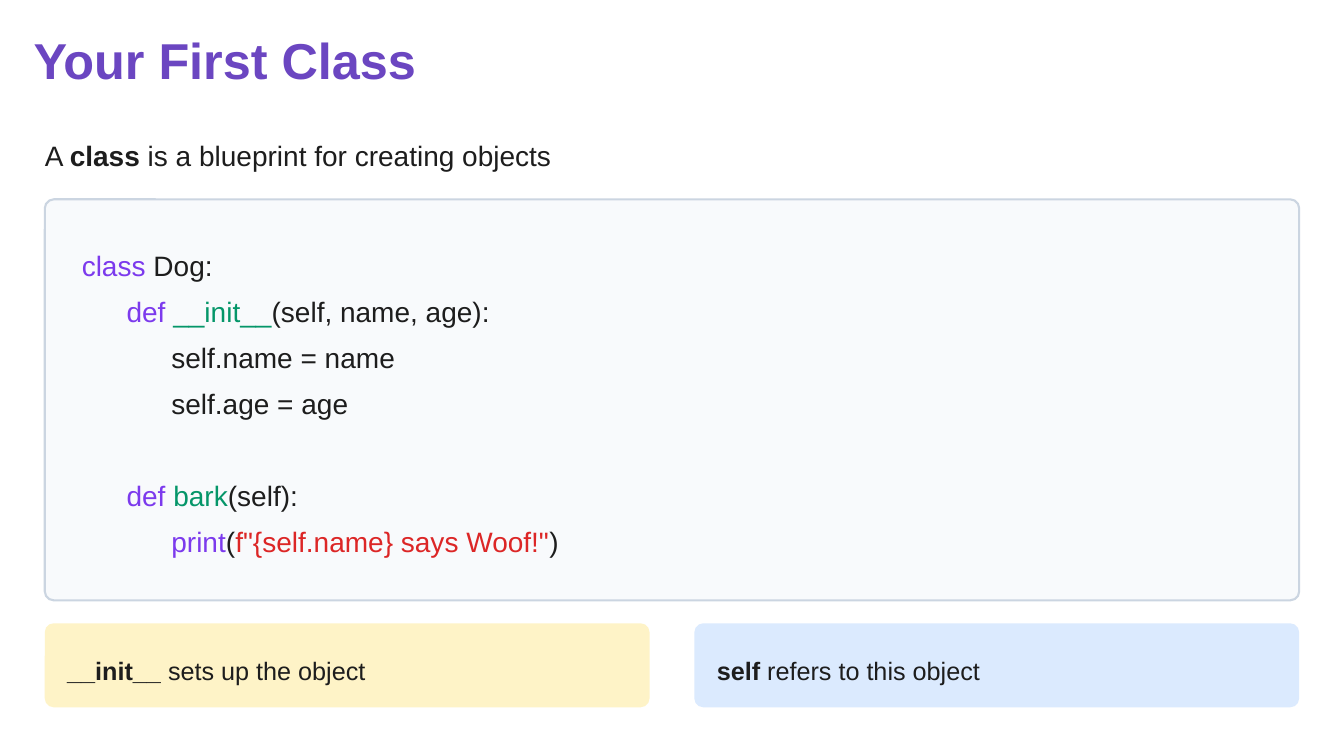
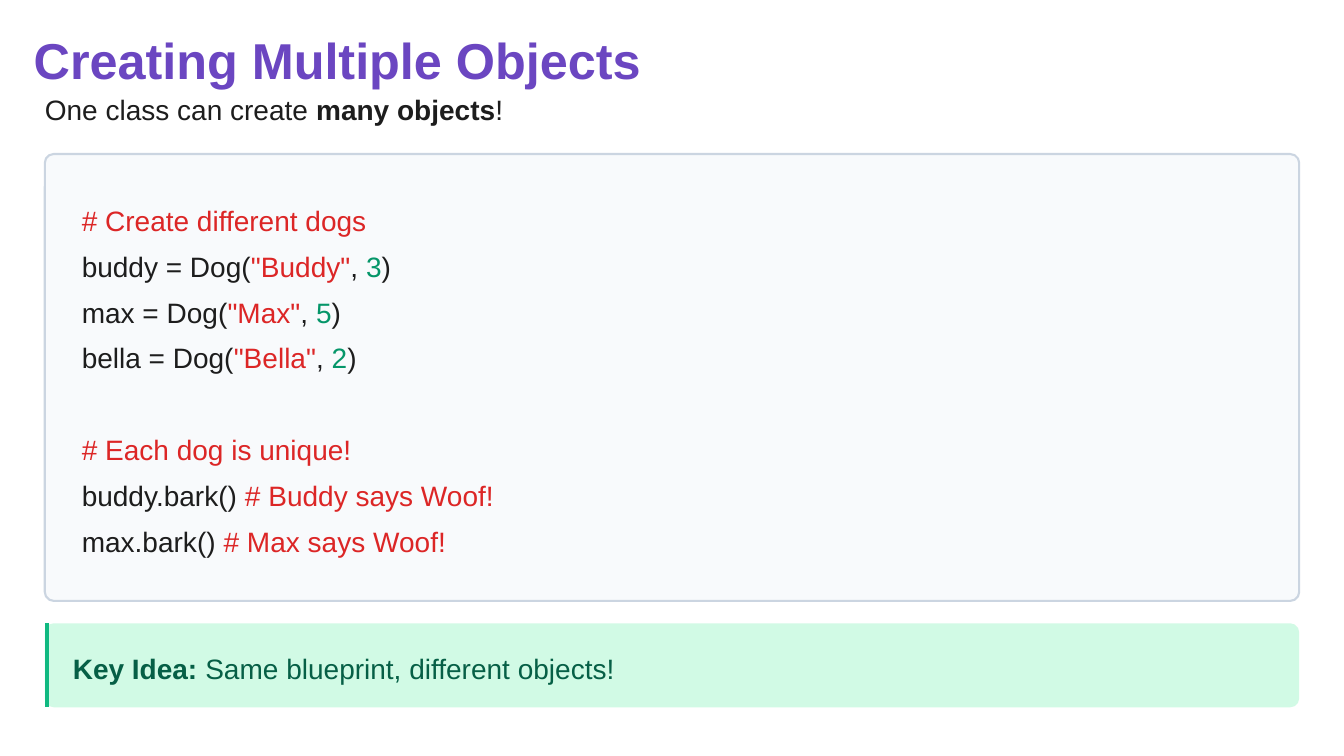
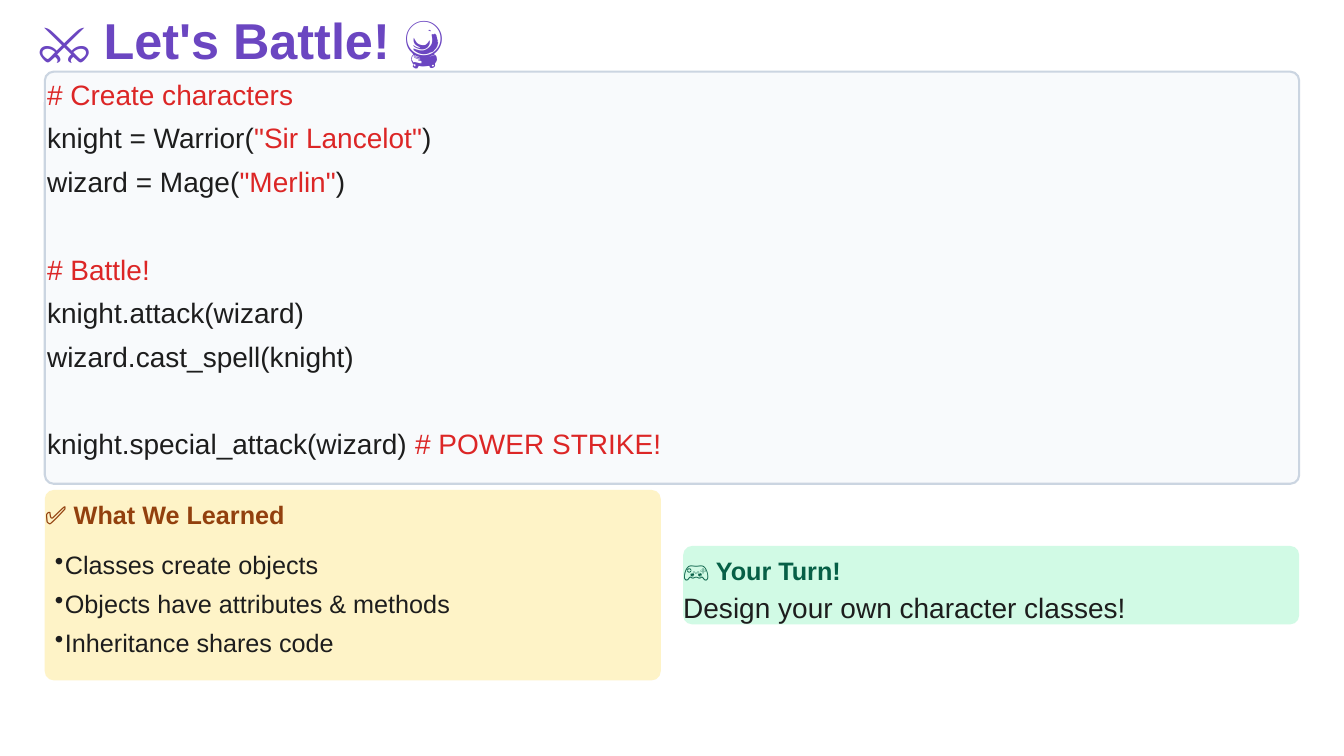
from dataclasses import dataclass

from lxml.etree import SubElement
from pptx import Presentation
from pptx.dml.color import RGBColor
from pptx.enum.shapes import MSO_CONNECTOR as Connector, MSO_SHAPE as Preset
from pptx.enum.text import MSO_ANCHOR as Anchor, MSO_AUTO_SIZE as AutoSize, PP_ALIGN as Align
from pptx.oxml.ns import qn
from pptx.util import Pt


@dataclass(frozen=True)
class Theme:
    font: str = "Arial"
    title: str = "6B46C1"
    ink: str = "1D1D1D"
    keyword: str = "7C3AED"
    name: str = "059669"
    string: str = "DC2626"
    code_fill: str = "F8FAFC"
    code_line: str = "CBD5E1"
    yellow: str = "FEF3C7"
    brown: str = "92400E"
    blue: str = "DBEAFE"
    mint: str = "D1FAE5"
    emerald: str = "10B981"
    forest: str = "065F46"
    title_size: int = 36
    body_size: int = 20
    note_size: int = 18
    title_leading: int = 40
    leading: int = 28


@dataclass
class Line:
    """One paragraph: spans are (text, colour) or (text, colour, bold)."""
    spans: list
    size: int
    before: float = 0
    indent: float = 0
    bullet: bool = False
    leading: int = Theme.leading


T = Theme()
UNIT = Pt(8)  # the slide is a grid of 120 columns by 67.5 rows
COLUMNS, ROWS = 120, 67.5
LEFT, FULL = 4, 112
ROW = 3.5
RADIUS = 0.8
TAB = 4


def panel(page, left, top, width, height, fill, outline=None):
    shape = page.shapes.add_shape(
        Preset.ROUNDED_RECTANGLE, *(round(n * UNIT) for n in (left, top, width, height)))
    shape.adjustments[0] = RADIUS / min(width, height)
    shape.shadow.inherit = False
    shape.fill.solid()
    shape.fill.fore_color.rgb = RGBColor.from_string(fill)
    if outline:
        shape.line.color.rgb = RGBColor.from_string(outline)
        shape.line.width = Pt(1.5)
    else:
        shape.line.fill.background()


def write(page, left, top, width, height, lines, box=None):
    """Fill the given box, or a new text box, with lines at a grid position."""
    box = box or page.shapes.add_textbox(0, 0, 0, 0)
    box.left, box.top, box.width, box.height = (
        round(n * UNIT) for n in (left, top, width, height))
    frame = box.text_frame
    frame.word_wrap = True
    frame.auto_size = AutoSize.NONE
    frame.vertical_anchor = Anchor.TOP
    frame.margin_left = frame.margin_top = frame.margin_right = frame.margin_bottom = 0
    for number, line in enumerate(lines):
        para = frame.add_paragraph() if number else frame.paragraphs[0]
        props = para._p.get_or_add_pPr()
        props.set("marL", str(round(line.indent * UNIT)))
        props.set("indent", str(-round(line.indent * UNIT / 2) if line.bullet else 0))
        if line.bullet:
            SubElement(props, qn("a:buChar")).set("char", "•")
        para.alignment = Align.LEFT
        para.line_spacing = Pt(line.leading)
        para.space_before = Pt(line.before)
        para.font.name = T.font
        para.font.size = Pt(line.size)
        for text, colour, *bold in line.spans:
            span = para.add_run()
            span.text = text
            font = para.font if len(line.spans) == 1 else span.font
            font.bold = bool(bold)
            font.color.rgb = RGBColor.from_string(colour)


# Each code line: indent level, empty lines above, spans.
lessons = [
    dict(
        title="Your First Class", title_at=(3, 3),
        intro=[("A ", T.ink), ("class", T.ink, True),
               (" is a blueprint for creating objects", T.ink)],
        intro_top=11.9, panel_top=17.8, panel_height=35.8, code_at=(7.3, 21.7), gap=4.8,
        code=[
            (0, 0, [("class", T.keyword), (" Dog:", T.ink)]),
            (1, 0, [("def ", T.keyword), ("__init__", T.name), ("(self, name, age):", T.ink)]),
            (2, 0, [("self.name = name", T.ink)]),
            (2, 0, [("self.age = age", T.ink)]),
            (1, 1, [("def ", T.keyword), ("bark", T.name), ("(self):", T.ink)]),
            (2, 0, [("print", T.keyword), ("(", T.ink),
                    ('f"{self.name} says Woof!"', T.string), (")", T.ink)]),
        ]),
    dict(
        title="Creating Multiple Objects", title_at=(3, 3),
        intro=[("One class can create ", T.ink), ("many objects", T.ink, True), ("!", T.ink)],
        intro_top=7.8, panel_top=13.75, panel_height=39.9, code_at=(7.3, 17.65), gap=4.8,
        code=[
            (0, 0, [("# Create different dogs", T.string)]),
            *((0, 0, [(f"{dog.lower()} = Dog(", T.ink), (f'"{dog}"', T.string),
                      (", ", T.ink), (age, T.name), (")", T.ink)])
              for dog, age in (("Buddy", "3"), ("Max", "5"), ("Bella", "2"))),
            (0, 1, [("# Each dog is unique!", T.string)]),
            *((0, 0, [(f"{dog.lower()}.bark() ", T.ink), (f"# {dog} says Woof!", T.string)])
              for dog in ("Buddy", "Max")),
        ]),
    dict(
        title="⚔️ Let's Battle! 🔮", title_at=(3.5, 1.2),
        intro=None, panel_top=6.4, panel_height=36.8, code_at=(4.2, 6.4), gap=3.2,
        code=[
            (0, 0, [("# Create characters", T.string)]),
            (0, 0, [("knight = Warrior(", T.ink), ('"Sir Lancelot"', T.string), (")", T.ink)]),
            (0, 0, [("wizard = Mage(", T.ink), ('"Merlin"', T.string), (")", T.ink)]),
            (0, 1, [("# Battle!", T.string)]),
            (0, 0, [("knight.attack(wizard)", T.ink)]),
            (0, 0, [("wizard.cast_spell(knight)", T.ink)]),
            (0, 1, [("knight.special_attack(wizard) ", T.ink), ("# POWER STRIKE!", T.string)]),
        ]),
]

deck = Presentation()
deck.slide_width = round(COLUMNS * UNIT)
deck.slide_height = round(ROWS * UNIT)
title_only = deck.slide_layouts[5]

pages = []
for lesson in lessons:
    page = deck.slides.add_slide(title_only)
    pages.append(page)
    title = Line([(lesson["title"], T.title, True)], T.title_size, leading=T.title_leading)
    write(page, *lesson["title_at"], 58.2, 5, [title], page.shapes.title)
    if lesson["intro"]:
        write(page, LEFT, lesson["intro_top"], 114, ROW, [Line(lesson["intro"], T.body_size)])

    panel(page, LEFT, lesson["panel_top"], FULL, lesson["panel_height"],
          T.code_fill, T.code_line)
    gap = lesson["gap"]
    code = []
    for number, (level, empty, spans) in enumerate(lesson["code"]):
        before = gap + empty * (T.leading + gap) if number else 0
        code.append(Line(spans, T.body_size, before, level * TAB))
    height = sum(line.leading + line.before for line in code) / 8
    write(page, *lesson["code_at"], 107.6, height, code)

first_class, many_objects, battle = pages

NOTE_TOP, NOTE_HEIGHT, NOTE_TEXT_TOP = 55.65, 7.5, 57.7
NOTE_WIDTH, NOTE_GAP = 54, 4
notes = [("__init__", " sets up the object", T.yellow),
         ("self", " refers to this object", T.blue)]
for column, (term, meaning, fill) in enumerate(notes):
    left = LEFT + column * (NOTE_WIDTH + NOTE_GAP)
    panel(first_class, left, NOTE_TOP, NOTE_WIDTH, NOTE_HEIGHT, fill)
    write(first_class, left + 2, NOTE_TEXT_TOP, 51, ROW,
          [Line([(term, T.ink, True), (meaning, T.ink)], T.note_size)])

panel(many_objects, LEFT, NOTE_TOP, FULL, NOTE_HEIGHT, T.mint)
bar_x = round((LEFT + 0.2) * UNIT)
bar = many_objects.shapes.add_connector(
    Connector.STRAIGHT, bar_x, round(NOTE_TOP * UNIT),
    bar_x, round((NOTE_TOP + NOTE_HEIGHT) * UNIT))
bar.line.color.rgb = RGBColor.from_string(T.emerald)
bar.line.width = Pt(3)
SubElement(bar._element.spPr, qn("a:effectLst"))
write(many_objects, 6.5, NOTE_TEXT_TOP, 109.5, ROW,
      [Line([("Key Idea:", T.forest, True),
             (" Same blueprint, different objects!", T.forest)], T.body_size)])

CARD_WIDTH, CARD_GAP = 55, 2
learned = ["Classes create objects", "Objects have attributes & methods",
           "Inheritance shares code"]
cards = [
    (43.75, 17, T.yellow,
     [Line([("✅ What We Learned", T.brown, True)], T.note_size)]
     + [Line([(point, T.ink)], T.note_size, 0 if number else 8, 1.8, True)
        for number, point in enumerate(learned)]),
    (48.75, 7, T.mint,
     [Line([("🎮 Your Turn!", T.forest, True)], T.note_size),
      Line([("Design your own character classes!", T.ink)], T.body_size)]),
]
for column, (top, height, fill, lines) in enumerate(cards):
    left = LEFT + column * (CARD_WIDTH + CARD_GAP)
    panel(battle, left, top, CARD_WIDTH, height, fill)
    write(battle, left, top, CARD_WIDTH, height, lines)

deck.save("out.pptx")
